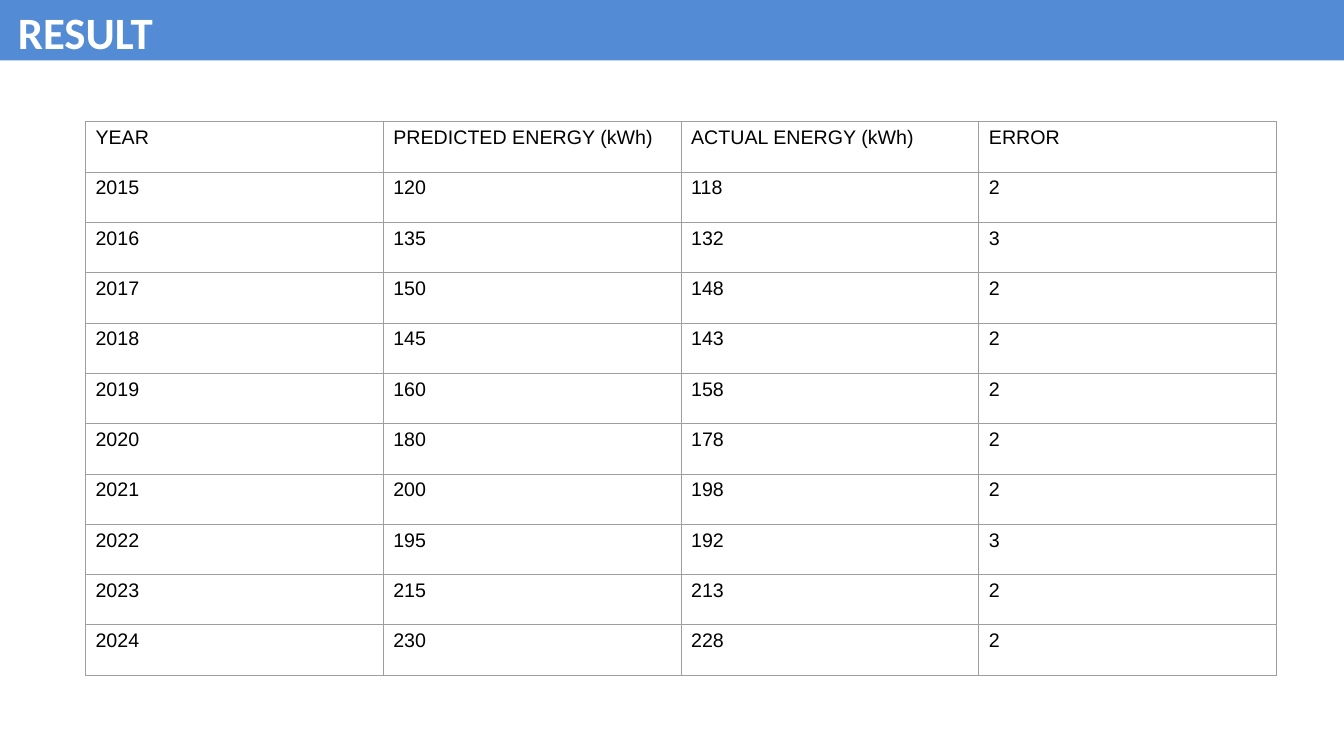
import pptx
import pptx.dml.color
import pptx.enum.shapes
import pptx.enum.text
import pptx.oxml
import pptx.oxml.ns
import pptx.util

ALIGN = pptx.enum.text.PP_ALIGN
HEADERS = ["YEAR", "PREDICTED ENERGY (kWh)", "ACTUAL ENERGY (kWh)", "ERROR"]
FIRST_YEAR = 2015
PREDICTED = [120, 135, 150, 145, 160, 180, 200, 195, 215, 230]
ACTUAL = [118, 132, 148, 143, 158, 178, 198, 192, 213, 228]


def colour(value):
    return pptx.dml.color.RGBColor.from_string(value)


class ResultSlide:
    WIDTH, HEIGHT = 13.33, 7.5
    BLUE, WHITE, BLACK, GREY = "538CD5", "FFFFFF", "000000", "9E9E9E"

    def __init__(self, presentation):
        presentation.slide_width = pptx.util.Inches(self.WIDTH)
        presentation.slide_height = pptx.util.Inches(self.HEIGHT)
        self.slide = presentation.slides.add_slide(presentation.slide_layouts[6])

    def box(self, left, top, width, height):
        """Turn percentages of the slide's size into lengths."""
        return [pptx.util.Inches(share / 100 * full) for share, full in
                zip((left, top, width, height), (self.WIDTH, self.HEIGHT) * 2)]

    def set_text(self, paragraph, text, font, size, ink, align, bold=False):
        paragraph.text = text
        paragraph.alignment = align
        for run in paragraph.runs:
            run.font.name = font
            run.font.size = pptx.util.Pt(size)
            run.font.bold = bold
            run.font.color.rgb = colour(ink)

    def bar(self, *shares):
        shape = self.slide.shapes.add_shape(
            pptx.enum.shapes.MSO_SHAPE.RECTANGLE, *self.box(*shares))
        shape.shadow.inherit = False
        shape.fill.solid()
        shape.fill.fore_color.rgb = colour(self.BLUE)
        shape.line.fill.background()

    def title(self, text, *shares):
        text_frame = self.slide.shapes.add_textbox(*self.box(*shares)).text_frame
        text_frame.word_wrap = True
        self.set_text(text_frame.paragraphs[0], text, "Calibri", 32, self.WHITE,
                      ALIGN.CENTER, bold=True)

    def border(self, cell):
        properties = cell._tc.get_or_add_tcPr()
        for side in ("lnL", "lnR", "lnT", "lnB"):
            properties.append(pptx.oxml.parse_xml(
                f'<a:{side} {pptx.oxml.ns.nsdecls("a")} w="{pptx.util.Pt(0.75)}">'
                f'<a:solidFill><a:srgbClr val="{self.GREY}"/></a:solidFill></a:{side}>'))

    def table(self, rows, *shares):
        frame = self.slide.shapes.add_table(len(rows), len(rows[0]), *self.box(*shares))
        table = frame.table
        table.first_row = table.horz_banding = False
        for row, values in zip(table.rows, rows):
            for cell, value in zip(row.cells, values):
                self.border(cell)
                cell.fill.background()
                self.set_text(cell.text_frame.paragraphs[0], str(value), "Arial", 14,
                              self.BLACK, ALIGN.JUSTIFY)


def main():
    presentation = pptx.Presentation()
    result = ResultSlide(presentation)

    # Heading
    result.bar(0, -0.4, 100, 8.4)
    result.title("RESULT", -6, 0, 24.7, 16.1)

    # Yearly comparison, the error being the difference
    years = [[FIRST_YEAR + index, predicted, actual, predicted - actual]
             for index, (predicted, actual) in enumerate(zip(PREDICTED, ACTUAL))]
    result.table([HEADERS] + years, 6.36, 16.1, 88.64, 73.25)

    presentation.save("out.pptx")


if __name__ == "__main__":
    main()
